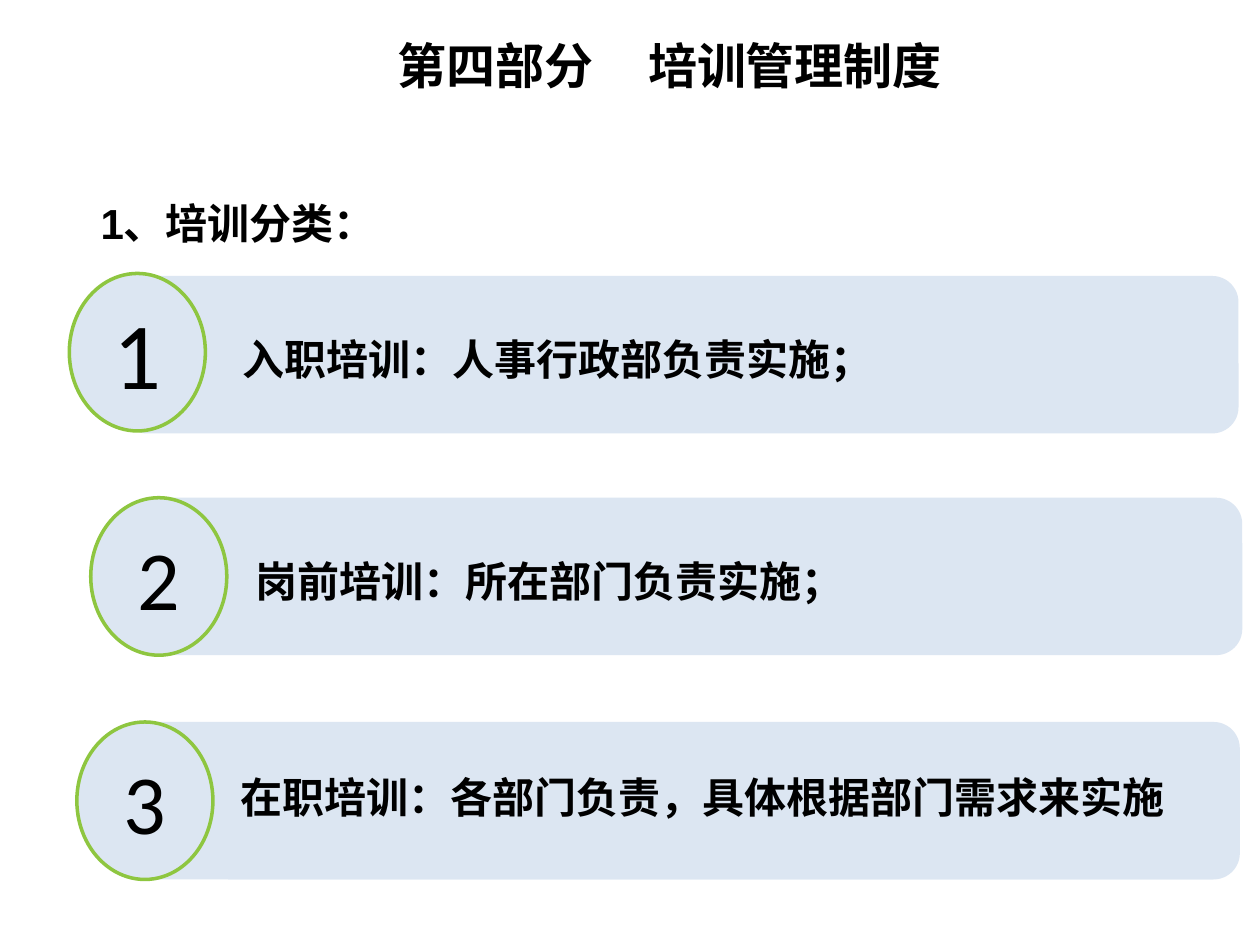
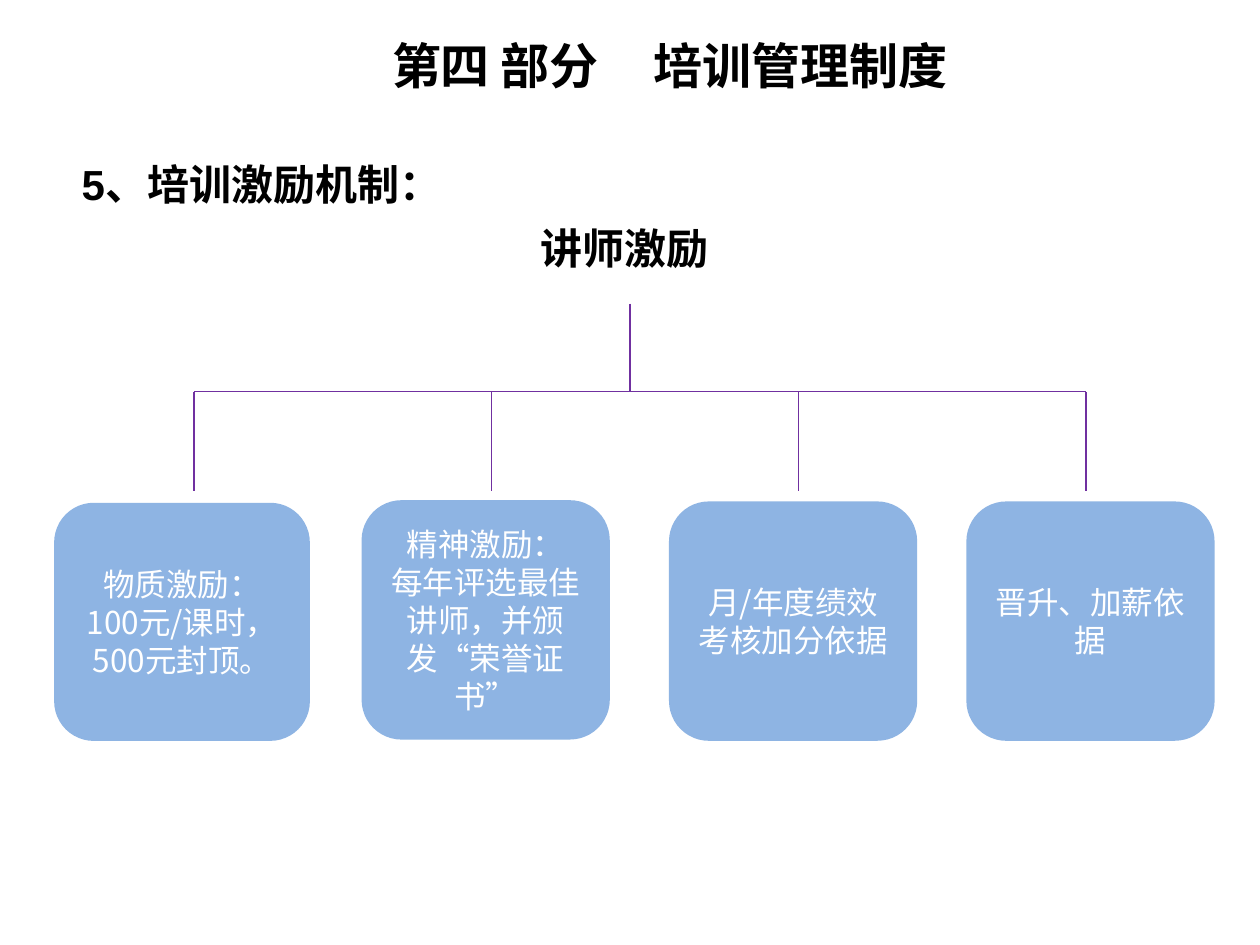
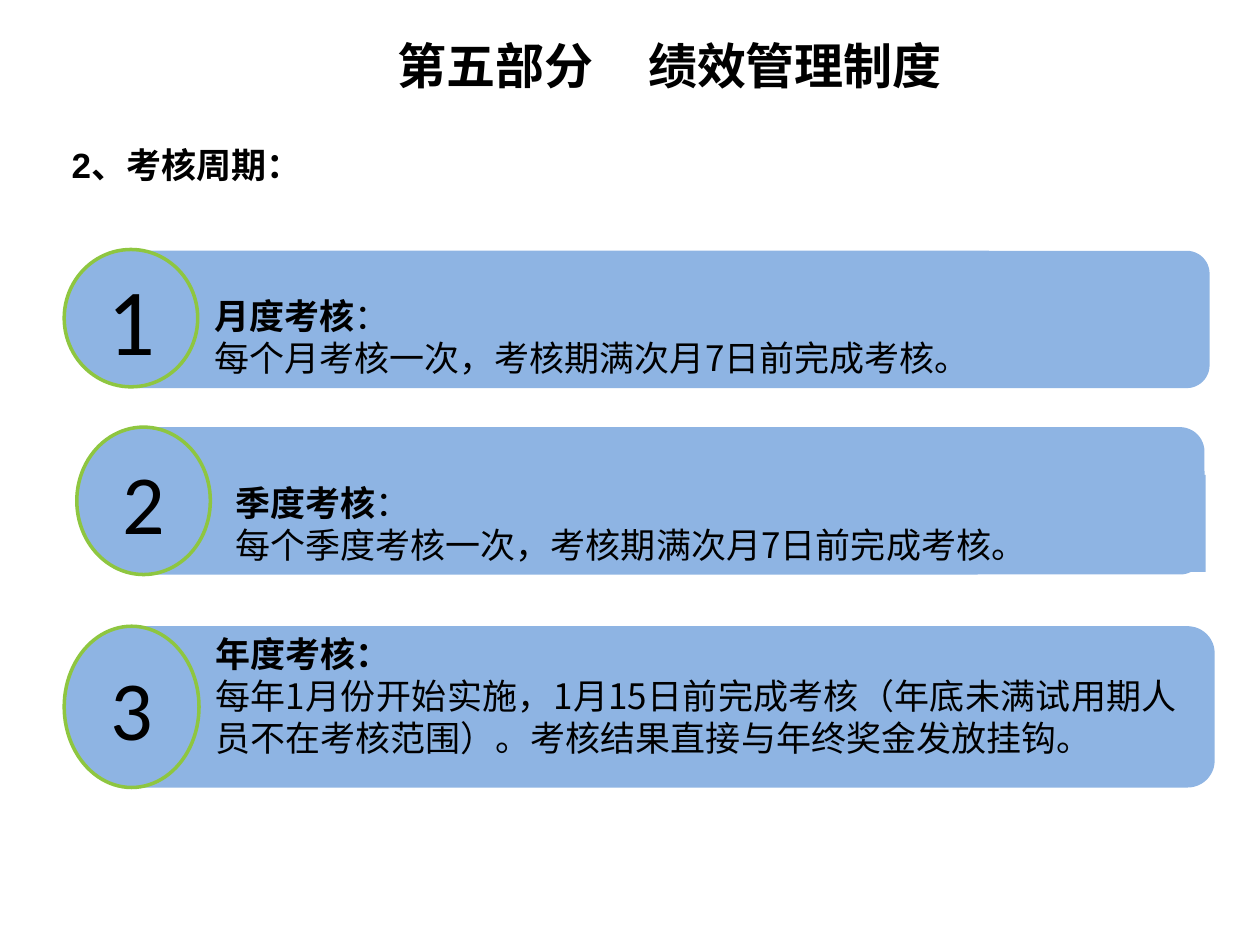
from dataclasses import dataclass

from lxml import etree
from pptx import Presentation
from pptx.dml.color import RGBColor
from pptx.enum.lang import MSO_LANGUAGE_ID
from pptx.enum.shapes import MSO_CONNECTOR, MSO_SHAPE
from pptx.enum.text import MSO_ANCHOR, MSO_AUTO_SIZE, PP_ALIGN
from pptx.oxml.ns import qn
from pptx.util import Inches, Pt

LEFT, CENTER, JUSTIFY = PP_ALIGN.LEFT, PP_ALIGN.CENTER, PP_ALIGN.JUSTIFY
TOP, MIDDLE = MSO_ANCHOR.TOP, MSO_ANCHOR.MIDDLE
ROUNDED, OVAL, RECT = MSO_SHAPE.ROUNDED_RECTANGLE, MSO_SHAPE.OVAL, MSO_SHAPE.RECTANGLE
STRAIGHT = MSO_CONNECTOR.STRAIGHT
CHINESE = MSO_LANGUAGE_ID.SIMPLIFIED_CHINESE
NO_FIT = MSO_AUTO_SIZE.NONE


@dataclass(frozen=True)
class Theme:
    """Colours, fonts and type sizes shared by the slides."""
    ink: str = "000000"
    white: str = "FFFFFF"
    pale: str = "DCE6F2"
    blue: str = "8EB4E3"
    green: str = "8EC640"
    purple: str = "7030A0"
    latin: str = "Calibri"
    heading: str = "Arial"
    cjk: str = "Noto Sans CJK SC"
    title: int = 28
    large: int = 24
    medium: int = 20
    small: int = 18
    leading: float = 1.2
    wide_leading: float = 1.8
    title_gap: int = 2500


T = Theme()
TITLE_BOX = (2.58, 0.23, 5.47, 0.57)
DOT_INSET = 0.41


def inches(box):
    """Convert a box given in inches to lengths."""
    return [Inches(v) for v in box]


def write(shape, paragraphs, size, font, color=T.ink, bold=False,
          align=LEFT, anchor=TOP, leading=T.leading):
    """Write paragraphs, each a list of (text, bold) runs or a plain string."""
    tf = shape.text_frame
    for name, value in {"word_wrap": True, "auto_size": NO_FIT,
                        "vertical_anchor": anchor}.items():
        setattr(tf, name, value)
    for i, runs in enumerate(paragraphs):
        p = tf.paragraphs[0] if i == 0 else tf.add_paragraph()
        p.alignment, p.line_spacing = align, Pt(round(size * leading, 1))
        for text, weight in [(runs, bold)] if isinstance(runs, str) else runs:
            r = p.add_run()
            r.text = text
            for name, value in {"size": Pt(size), "bold": weight, "name": font,
                                "language_id": CHINESE}.items():
                setattr(r.font, name, value)
            r.font.color.rgb = RGBColor.from_string(color)
            rPr = r._r.get_or_add_rPr()
            etree.SubElement(rPr, qn("a:ea")).set("typeface", T.cjk)
    return tf


def add_block(shapes, kind, box, fill, line=None):
    """Add a flat preset shape with an optional outline."""
    shape = shapes.add_shape(kind, *inches(box))
    shape.shadow.inherit = False
    shape.fill.solid()
    shape.fill.fore_color.rgb = RGBColor.from_string(fill)
    if line:
        shape.line.color.rgb = RGBColor.from_string(line)
        shape.line.width = Pt(2)
    else:
        shape.line.fill.background()
    return shape


def add_line(s, x1, y1, x2, y2):
    """Add a thin line of the tree."""
    line = s.shapes.add_connector(STRAIGHT, *inches((x1, y1, x2, y2)))
    line.line.color.rgb = RGBColor.from_string(T.purple)
    line.line.width = Pt(0.75)
    etree.SubElement(line._element.spPr, qn("a:effectLst"))


def add_heading(s, box, text, size=T.large, leading=T.leading, font=T.heading):
    """Add a bold heading in a text box."""
    return write(s.shapes.add_textbox(*inches(box)), [text], size, font,
                 bold=True, leading=leading)


def add_titled_slide(prs, part, subject):
    """Add a slide whose title holds a part number and a subject."""
    s = prs.slides.add_slide(prs.slide_layouts[5])
    title = s.shapes.title
    title.left, title.top, title.width, title.height = inches(TITLE_BOX)
    tf = write(title, [[(part, True), (" ", True), (subject, True)]],
               T.title, T.latin, align=CENTER)
    gap = tf.paragraphs[0].runs[1]
    gap._r.get_or_add_rPr().set("spc", str(T.title_gap))
    return s


def add_numbered_bar(s, number, box, dot_width, label_box, paragraphs, fill,
                     size, align=JUSTIFY, drop=0):
    """Add a bar with a numbered circle and a label placed within its box."""
    x, y, w, h = box
    dx, dy, label_w, label_h = label_box
    shapes = s.shapes.add_group_shape().shapes
    add_block(shapes, ROUNDED, (x + DOT_INSET, y + drop, w - DOT_INSET, h), fill)
    dot = add_block(shapes, OVAL, (x, y, dot_width, h), fill, T.green)
    write(dot, [str(number)], 54 if number == 1 else 48, T.latin,
          align=CENTER, anchor=MIDDLE)
    label = add_block(shapes, RECT, (x + dx, y + dy, label_w, label_h), fill)
    write(label, paragraphs, size, T.cjk, align=align)


def add_tree(s, box, root_x, branch_y, stems):
    """Add a root line, a crossbar and one stem for each branch."""
    x, y, w, h = box
    add_line(s, x, branch_y, x + w, branch_y)
    for stem in stems:
        add_line(s, x + stem, branch_y, x + stem, y + h)
    add_line(s, root_x, y, root_x, branch_y)


def build_training_types(prs):
    """Build the slide on the types of training."""
    s = add_titled_slide(prs, "第四部分", "培训管理制度")
    add_heading(s, (0.7, 1.32, 8.91, 0.64), "1、培训分类：", leading=T.wide_leading)
    rows = [
        ((0.55, 2.17, 9.28, 1.25), (1.28, 0.43, 7.8, 0.5),
         "入职培训：人事行政部负责实施；", JUSTIFY, 0.02),
        ((0.72, 3.95, 9.14, 1.25), (1.21, 0.41, 7.49, 0.5),
         "岗前培训：所在部门负责实施；", JUSTIFY, 0),
        ((0.61, 5.73, 9.23, 1.25), (1.2, 0.34, 7.82, 0.91),
         "在职培训：各部门负责，具体根据部门需求来实施", LEFT, 0),
    ]
    for i, (box, label_box, text, align, drop) in enumerate(rows, 1):
        add_numbered_bar(s, i, box, 1.08, label_box, [[(text, True)]], T.pale,
                         T.large, align, drop)


def build_incentives(prs):
    """Build the slide on rewards for lecturers."""
    s = add_titled_slide(prs, "第四 部分", "培训管理制度")
    add_heading(s, (0.55, 1.01, 8.91, 0.71), "5、培训激励机制：", leading=T.wide_leading)
    cards = [
        ((0.43, 3.99, 2.03, 1.89), ["物质激励：", "100元/课时，500元封顶。"]),
        ((2.87, 3.97, 1.97, 1.9), ["精神激励：", "每年评选最佳讲师，并颁发“荣誉证书”"]),
        ((5.31, 3.98, 1.97, 1.9), ["月/年度绩效考核加分依据"]),
        ((7.67, 3.98, 1.97, 1.9), ["晋升、加薪依据"]),
    ]
    for box, paragraphs in cards:
        card = add_block(s.shapes, ROUNDED, box, T.blue)
        write(card, paragraphs, T.small, T.cjk, T.white, align=CENTER, anchor=MIDDLE)
    add_tree(s, (1.54, 2.41, 7.08, 1.49), 5, 3.11, (0, 2.36, 4.8, 7.08))
    tf = add_heading(s, (3.59, 1.72, 2.58, 0.5), "讲师激励", font=T.latin)
    tf.margin_left = Inches(0.7)


def build_review_cycle(prs):
    """Build the slide on the performance review cycle."""
    s = add_titled_slide(prs, "第五部分", "绩效管理制度")
    add_heading(s, (0.47, 1.09, 5, 0.77), "2、考核周期：", T.medium)
    rows = [
        ((0.51, 1.98, 9.09, 1.09), 1.06, (1.09, 0.31, 7.89, 0.77),
         [("月度考核", True), ("：", False)],
         "每个月考核一次，考核期满次月7日前完成考核。", 0.01),
        ((0.61, 3.39, 8.95, 1.17), 1.06, (1.16, 0.38, 7.8, 0.77),
         [("季度考核", True), ("：", False)],
         "每个季度考核一次，考核期满次月7日前完成考核。", 0),
        ((0.51, 4.97, 9.13, 1.28), 1.07, (1.1, 0, 7.83, 1.11),
         [("年度考核：", True)],
         "每年1月份开始实施，1月15日前完成考核（年底未满试用期人员不在考核范围）。"
         "考核结果直接与年终奖金发放挂钩。", 0),
    ]
    for i, (box, dot_width, label_box, name, detail, drop) in enumerate(rows, 1):
        add_numbered_bar(s, i, box, dot_width, label_box, [name, detail], T.blue,
                         T.medium, drop=drop)


def main():
    """Build and save the presentation."""
    prs = Presentation()
    prs.slide_width, prs.slide_height = Inches(10), Inches(7.5)
    for build in (build_training_types, build_incentives, build_review_cycle):
        build(prs)
    prs.save("out.pptx")


if __name__ == "__main__":
    main()
